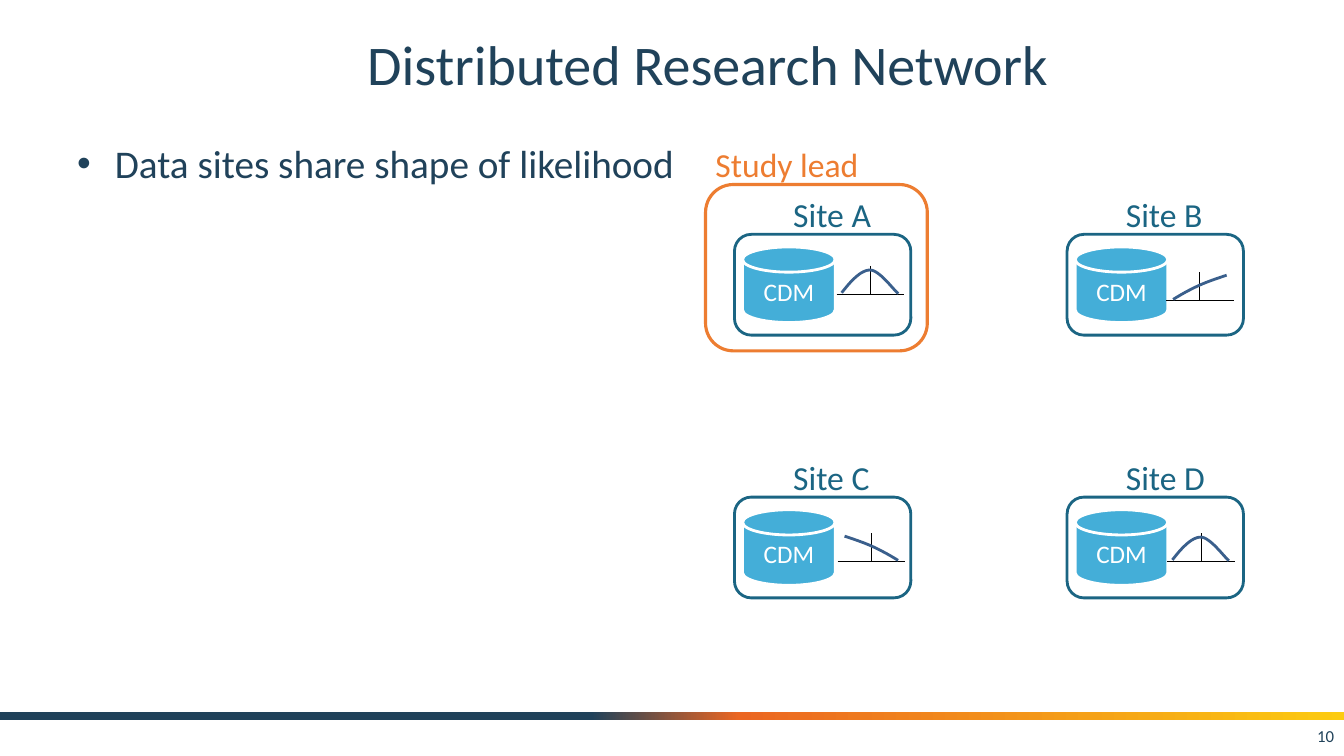
from copy import deepcopy

from lxml.etree import SubElement
from pptx import Presentation
from pptx.dml.color import RGBColor
from pptx.enum.shapes import MSO_CONNECTOR, MSO_SHAPE
from pptx.enum.text import MSO_ANCHOR, MSO_AUTO_SIZE, PP_ALIGN
from pptx.oxml.ns import qn
from pptx.util import Pt

# Content
TITLE = "Distributed Research Network"
BULLET = "Data sites share shape of likelihood"
LEAD = "Study lead"
DATABASE = "CDM"
PAGE = "10"

# Name, column, row, left end of the axis, likelihood shape
SITES = [
    ("Site A", 0, 0, (597.6, 210.2), "bell"),
    ("Site B", 1, 0, (833, 214.6), "rising"),
    ("Site C", 0, 1, (598.3, 401), "falling"),
    ("Site D", 1, 1, (833.8, 401), "bell"),
]
COLORS = {
    "navy": "20425A", "teal": "1B6583", "sky": "44AED8", "white": "FFFFFF",
    "orange": "ED7D31", "axis": "000000", "curve": "3A5F8C",
}
FOOTER_STOPS = [(0.44, "20425A"), (0.55, "EB6622"), (1, "FCCB10")]
FONT = "Calibri"

# Layout, in points
COLUMNS = (524.6, 762.2)
ROWS = (167.4, 355.1)
SITE_SIZE = (126, 72)
AXIS_WIDTH, TICK_HEIGHT = 48.2, 20.2

# Bezier points measured from the left end of the axis
FALLING = [(5, -18), (11.5, -15.8), (18, -13.7), (24.5, -10.8),
           (31, -7.9), (37.4, -4.3), (43.2, -0.7)]
CURVES = {
    "bell": [(3.6, -1), (10.1, -9.4), (17.3, -17.3), (23.9, -17.3),
             (30.4, -17.3), (40.3, -3.6), (44, -0.4)],
    "falling": FALLING,
    "rising": [(AXIS_WIDTH - x, y) for x, y in FALLING],
}
STEPS = 16

prs = Presentation()
prs.slide_width, prs.slide_height = Pt(960), Pt(540)
slide = prs.slides.add_slide(prs.slide_layouts[6])
shapes = slide.shapes


def rgb(name):
    return RGBColor.from_string(COLORS[name])


def write(holder, text, size, color="navy", align=PP_ALIGN.LEFT,
          anchor=MSO_ANCHOR.TOP, wrap=True, bullet_indent=0):
    frame = holder.text_frame
    frame.word_wrap = wrap
    frame.vertical_anchor = anchor
    if not wrap:
        frame.auto_size = MSO_AUTO_SIZE.SHAPE_TO_FIT_TEXT
    paragraph = frame.paragraphs[0]
    paragraph.alignment = align
    if bullet_indent:
        properties = paragraph._p.get_or_add_pPr()
        properties.set("marL", str(Pt(bullet_indent)))
        properties.set("indent", str(-Pt(bullet_indent)))
        SubElement(properties, qn("a:buFont"), typeface="Arial")
        SubElement(properties, qn("a:buChar"), char="•")
    run = paragraph.add_run()
    run.text = text
    run.font.name, run.font.size = FONT, Pt(size)
    run.font.color.rgb = rgb(color)


def text_box(left, top, width, height, text, size, **style):
    box = shapes.add_textbox(Pt(left), Pt(top), Pt(width), Pt(height))
    write(box, text, size, **style)


def preset(kind, left, top, width, height, fill=None, line=None, weight=2):
    shape = shapes.add_shape(kind, Pt(left), Pt(top), Pt(width), Pt(height))
    shape.shadow.inherit = False
    if fill:
        shape.fill.solid()
        shape.fill.fore_color.rgb = rgb(fill)
    else:
        shape.fill.background()
    if line:
        shape.line.color.rgb = rgb(line)
        shape.line.width = Pt(weight)
    else:
        shape.line.fill.background()
    return shape


def axis_line(x1, y1, x2, y2):
    line = shapes.add_connector(MSO_CONNECTOR.STRAIGHT, Pt(x1), Pt(y1), Pt(x2), Pt(y2))
    line.line.color.rgb = rgb("axis")
    line.line.width = Pt(0.75)
    SubElement(line._element.spPr, qn("a:effectLst"))


def bezier(points):
    """Points along one cubic segment, without its start."""
    for step in range(1, STEPS + 1):
        t = step / STEPS
        weights = ((1 - t) ** 3, 3 * t * (1 - t) ** 2, 3 * t * t * (1 - t), t ** 3)
        yield tuple(sum(w * p[i] for w, p in zip(weights, points)) for i in (0, 1))


def likelihood(x, y, kind):
    axis_line(x, y, x + AXIS_WIDTH, y)
    middle = x + AXIS_WIDTH / 2
    axis_line(middle, y - TICK_HEIGHT, middle, y)
    points = [(x + dx, y + dy) for dx, dy in CURVES[kind]]
    builder = shapes.build_freeform(Pt(points[0][0]), Pt(points[0][1]))
    for start in (0, 3):
        builder.add_line_segments(
            [(Pt(px), Pt(py)) for px, py in bezier(points[start:start + 4])], close=False)
    curve = builder.convert_to_shape()
    curve.shadow.inherit = False
    curve.fill.background()
    curve.line.color.rgb = rgb("curve")
    curve.line.width = Pt(2)


# Footer band
band = preset(MSO_SHAPE.RECTANGLE, 0, 508.4, 960, 5.8)
band.fill.gradient()
band.fill.gradient_angle = 0
stop_list = band._element.spPr.find(qn("a:gradFill")).find(qn("a:gsLst"))
stop_list.append(deepcopy(stop_list[-1]))
for stop, (position, color) in zip(band.fill.gradient_stops, FOOTER_STOPS):
    stop.position = position
    stop.color.rgb = RGBColor.from_string(color)

# Title, bullet and page number
text_box(98.6, 12.2, 813.6, 66.2, TITLE, 40,
         align=PP_ALIGN.CENTER, anchor=MSO_ANCHOR.MIDDLE)
text_box(48, 96, 443.5, 390, BULLET, 28, bullet_indent=27)
text_box(736, 511.2, 224, 28.8, PAGE, 12,
         align=PP_ALIGN.RIGHT, anchor=MSO_ANCHOR.MIDDLE)

# Sites with their databases and likelihoods
for site, column, row, axis, kind in SITES:
    left, top = COLUMNS[column], ROWS[row]
    preset(MSO_SHAPE.ROUNDED_RECTANGLE, left, top, *SITE_SIZE, fill="white", line="teal")
    text_box(left + 34.9, top - 32.4, 70.6, 36, site, 24, color="teal", wrap=False)
    database = preset(MSO_SHAPE.FLOWCHART_MAGNETIC_DISK, left + 5.8, top + 9, 66.2, 54,
                      fill="sky", line="white")
    write(database, DATABASE, 18, color="white",
          align=PP_ALIGN.CENTER, anchor=MSO_ANCHOR.MIDDLE)
    likelihood(*axis, kind)

# Frame of the study lead
preset(MSO_SHAPE.ROUNDED_RECTANGLE, 504, 131.8, 158.4, 118.8, line="orange", weight=2.25)
text_box(504, 99.4, 117.4, 36, LEAD, 24, color="orange", wrap=False)

prs.save("out.pptx")
